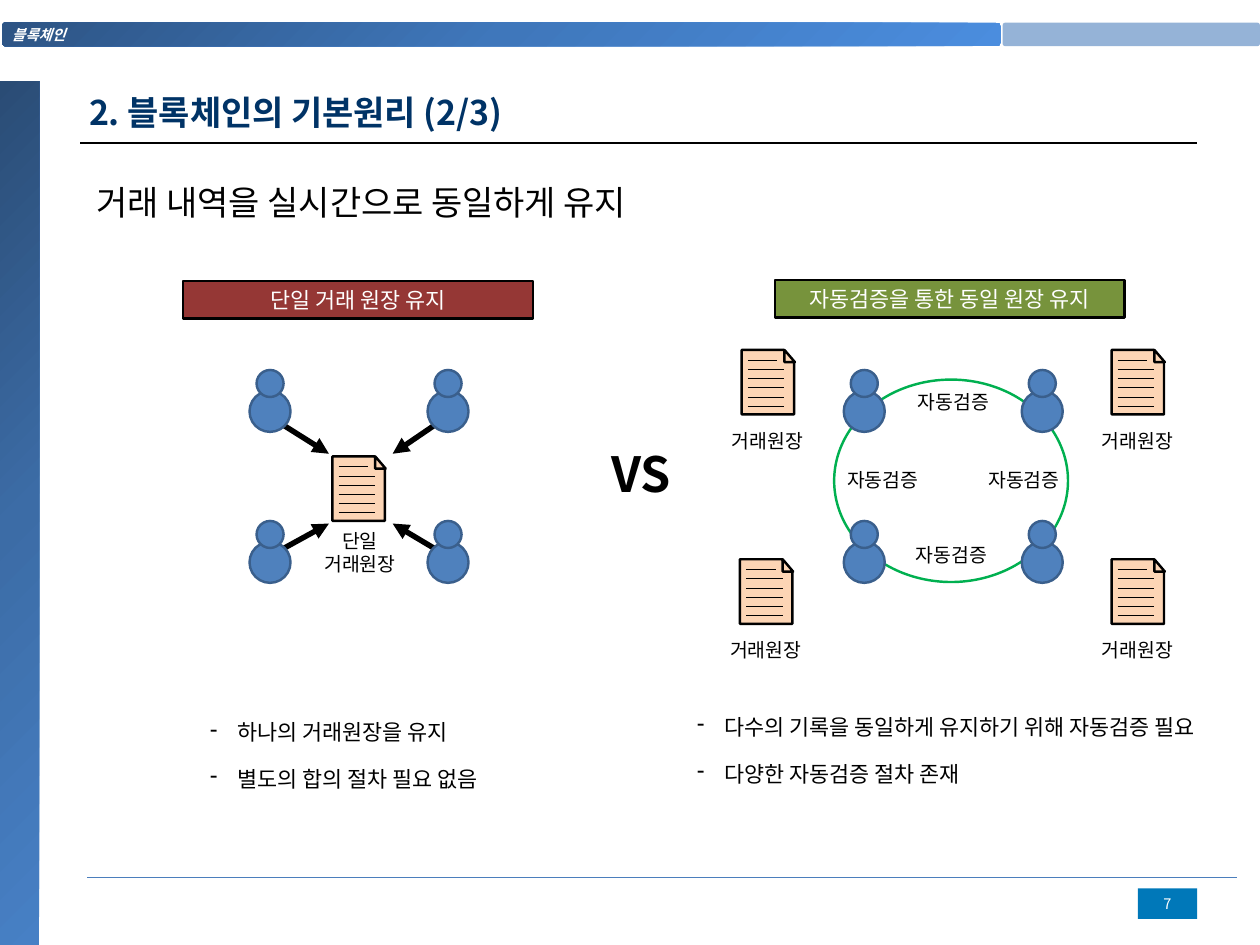
from dataclasses import dataclass
from itertools import product

from lxml import etree
from pptx import Presentation
from pptx.dml.color import RGBColor
from pptx.enum.shapes import MSO_CONNECTOR, MSO_SHAPE
from pptx.enum.text import MSO_ANCHOR, MSO_AUTO_SIZE, PP_ALIGN
from pptx.oxml import parse_xml
from pptx.oxml.ns import nsdecls, qn
from pptx.util import Inches, Pt

RECT, ROUND, OVAL = MSO_SHAPE.RECTANGLE, MSO_SHAPE.ROUNDED_RECTANGLE, MSO_SHAPE.OVAL
CARD, FOLD = MSO_SHAPE.FLOWCHART_CARD, MSO_SHAPE.RIGHT_TRIANGLE
DOT = MSO_SHAPE.FLOWCHART_CONNECTOR
LINE = MSO_CONNECTOR.STRAIGHT
TOP, MID = MSO_ANCHOR.TOP, MSO_ANCHOR.MIDDLE
LEFT, MIDDLE = PP_ALIGN.LEFT, PP_ALIGN.CENTER
NO_FIT = MSO_AUTO_SIZE.NONE


@dataclass(frozen=True)
class Theme:
    font: str = "Noto Sans CJK KR"
    latin: str = "Arial"
    white: str = "FFFFFF"
    black: str = "000000"
    navy: str = "003366"
    pale: str = "95B3D7"
    rule: str = "4B7EBC"
    page: str = "0078B9"
    red: str = "953735"
    olive: str = "77933C"
    paper: str = "FCD5B5"
    body: str = "4F81BD"
    edge: str = "3A5F8C"
    ring: str = "00B050"
    bar: tuple = ("2D5484", "3F77BB", "4B8DDE")
    side: tuple = ("2A4C75", "3C6CA6", "4780C5")
    tiny: int = 12
    small: int = 16
    mid: int = 18
    big: int = 28
    huge: int = 40


T = Theme()


def write(shape, lines, size, color=T.black, align=LEFT, anchor=MID, face=T.font, **style):
    frame = shape.text_frame
    form = {"word_wrap": True, "auto_size": NO_FIT, "vertical_anchor": anchor}
    for key, val in form.items():
        setattr(frame, key, val)
    frame.text = "\n".join(lines)
    for para in frame.paragraphs:
        para.alignment = align
        font = para.runs[0].font
        for key, val in {"name": face, "size": Pt(size), **style}.items():
            setattr(font, key, val)
        font.color.rgb = RGBColor.from_string(color)
        latin = para.runs[0]._r.rPr.find(qn("a:latin"))
        east = etree.Element(qn("a:ea"), typeface=T.font)
        latin.addnext(east)


def text(slide, box, lines, size, **style):
    shape = slide.shapes.add_textbox(*map(Inches, box))
    write(shape, lines, size, **style)
    return shape


def draw(parent, kind, box, fill=None, line=None):
    shape = parent.shapes.add_shape(kind, *map(Inches, box))
    shape.shadow.inherit = False
    if fill:
        shape.fill.solid()
        shape.fill.fore_color.rgb = RGBColor.from_string(fill)
    else:
        shape.fill.background()
    if line:
        shape.line.color.rgb = RGBColor.from_string(line)
        shape.line.width = Pt(2)
    else:
        shape.line.fill.background()
    return shape


def stroke(parent, start, end, color=T.black, width=0.75, arrow=False):
    line = parent.shapes.add_connector(LINE, *map(Inches, (*start, *end)))
    line.line.color.rgb = RGBColor.from_string(color)
    line.line.width = Pt(width)
    props = line._element.spPr
    if arrow:
        etree.SubElement(props.find(qn("a:ln")), qn("a:tailEnd"), type="triangle")
    etree.SubElement(props, qn("a:effectLst"))


def shade(shape, colors):
    """Fill with a gradient that spreads from the top left corner."""
    stops = "".join(
        f'<a:gs pos="{i * 50000}"><a:srgbClr val="{c}"/></a:gs>' for i, c in enumerate(colors)
    )
    props = shape._element.spPr
    props.replace(props.find(qn("a:noFill")), parse_xml(
        f'<a:gradFill {nsdecls("a")} rotWithShape="1"><a:gsLst>{stops}</a:gsLst>'
        '<a:path path="circle"><a:fillToRect r="100000" b="100000"/></a:path></a:gradFill>'
    ))


def person(slide, x, y):
    group = slide.shapes.add_group_shape()
    for left, top, size in ((0, 0.24, 0.47), (0.08, 0, 0.31)):
        draw(group, DOT, (x + left, y + top, size, size), T.body, T.edge)


def people(slide, x, y):
    for col, row in product(range(2), repeat=2):
        person(slide, x + col * 2.04, y + row * 1.73)


def ledger(slide, x, y):
    """A sheet with ruled lines and a folded corner."""
    group = slide.shapes.add_group_shape()
    card = draw(group, CARD, (x - 0.07, y + 0.07, 0.74, 0.6), T.paper, T.black)
    card.rotation = 90
    for row in range(6):
        top = y + 0.12 + row * 0.105
        stroke(group, (x + 0.07, top), (x + (0.49 if row else 0.41), top))
    fold = draw(group, FOLD, (x + 0.48, y + 0.01, 0.14, 0.12), T.paper, T.black)
    fold.rotation = 90
    fold._element.spPr.find(qn("a:xfrm")).set("flipH", "1")


def label(slide, x, y, *lines):
    text(slide, (x, y, 1.79, 0.56), lines, T.small, align=MIDDLE)


def banner(slide, x, y, words, fill):
    shape = draw(slide, RECT, (x, y, 4.01, 0.43), fill, T.black)
    write(shape, [words], T.mid, T.white, MIDDLE)


def points(slide, box, lines):
    shape = text(slide, box, lines, T.mid, anchor=TOP)
    for i, para in enumerate(shape.text_frame.paragraphs):
        para.space_before = Pt(17 if i else 0)
        props = para._p.get_or_add_pPr()
        props.set("marL", str(Inches(0.31)))
        props.set("indent", str(-Inches(0.31)))
        etree.SubElement(props, qn("a:buChar"), char="-")


def border(slide, width, height):
    bar = draw(slide, ROUND, (0.03, 0.26, 11.44, 0.27))
    shade(bar, T.bar)
    write(bar, ["블록체인"], T.tiny, T.white, bold=True, italic=True)
    end = draw(slide, ROUND, (11.49, 0.26, width - 11.49, 0.27), T.pale)
    for shape in (bar, end):
        shape.adjustments[0] = 0.117
    shade(draw(slide, RECT, (0, 0.93, 0.45, height - 0.93)), T.side)
    stroke(slide, (1, 10.06), (14.18, 10.06), T.rule)
    page = draw(slide, RECT, (13.04, 10.18, 0.68, 0.35), T.page)
    write(page, ["7"], T.tiny, T.white, MIDDLE)


def heading(slide, x, y, width):
    title = slide.shapes.title
    place = {"left": x, "top": y, "width": width, "height": 0.6}
    for key, val in place.items():
        setattr(title, key, Inches(val))
    write(title, ["2. 블록체인의 기본원리 (2/3)"], T.big, T.navy, bold=True)
    stroke(slide, (x, y + 0.66), (x + width, y + 0.66), width=1.5)
    text(slide, (x + 0.09, y + 1.05, width - 0.09, 0.7),
         ["거래 내역을 실시간으로 동일하게 유지"], T.big, anchor=TOP, face=T.latin)


def single(slide, x, y):
    """Four people who write to one central ledger."""
    banner(slide, x, y, "단일 거래 원장 유지", T.red)
    ledger(slide, x + 1.71, y + 2.01)
    for (left, tip), (top, stop) in product(
        ((1.16, 1.67), (2.87, 2.4)), ((1.66, 1.98), (3.06, 2.78))
    ):
        stroke(slide, (x + left, y + top), (x + tip, y + stop), width=4.5, arrow=True)
    people(slide, x + 0.76, y + 1.02)
    label(slide, x + 1.13, y + 2.83, "단일", "거래원장")
    points(slide, (x + 0.21, y + 4.97, 3.65, 1.01),
           ["하나의 거래원장을 유지", "별도의 합의 절차 필요 없음"])


def shared(slide, x, y):
    """Four people in a ring, each with an own ledger."""
    banner(slide, x + 1, y, "자동검증을 통한 동일 원장 유지", T.olive)
    draw(slide, OVAL, (x + 1.68, y + 1.14, 2.68, 2.32), line=T.ring)
    people(slide, x + 1.79, y + 1.03)
    for left, top in ((0.62, 0.8), (4.86, 0.8), (0.6, 3.2), (4.86, 3.2)):
        ledger(slide, x + left, y + top)
        label(slide, x + left - 0.6, y + top + 0.76, "거래원장")
    for left, top in ((2.15, 1.12), (2.13, 2.87), (1.34, 2.01), (2.96, 2.01)):
        label(slide, x + left, y + top, "자동검증")
    points(slide, (x + 0.01, y + 4.92, 6.5, 1.01),
           ["다수의 기록을 동일하게 유지하기 위해 자동검증 필요", "다양한 자동검증 절차 존재"])


def main():
    width, height = 14.44, 10.83
    deck = Presentation()
    deck.slide_width, deck.slide_height = Inches(width), Inches(height)
    slide = deck.slides.add_slide(deck.slide_layouts[5])
    border(slide, width, height)
    heading(slide, 0.92, 0.98, 12.8)
    single(slide, 2.1, 3.22)
    shared(slide, 7.88, 3.21)
    text(slide, (6.91, 5.04, 0.95, 0.77), ["VS"], T.huge, bold=True)
    deck.save("out.pptx")


if __name__ == "__main__":
    main()
